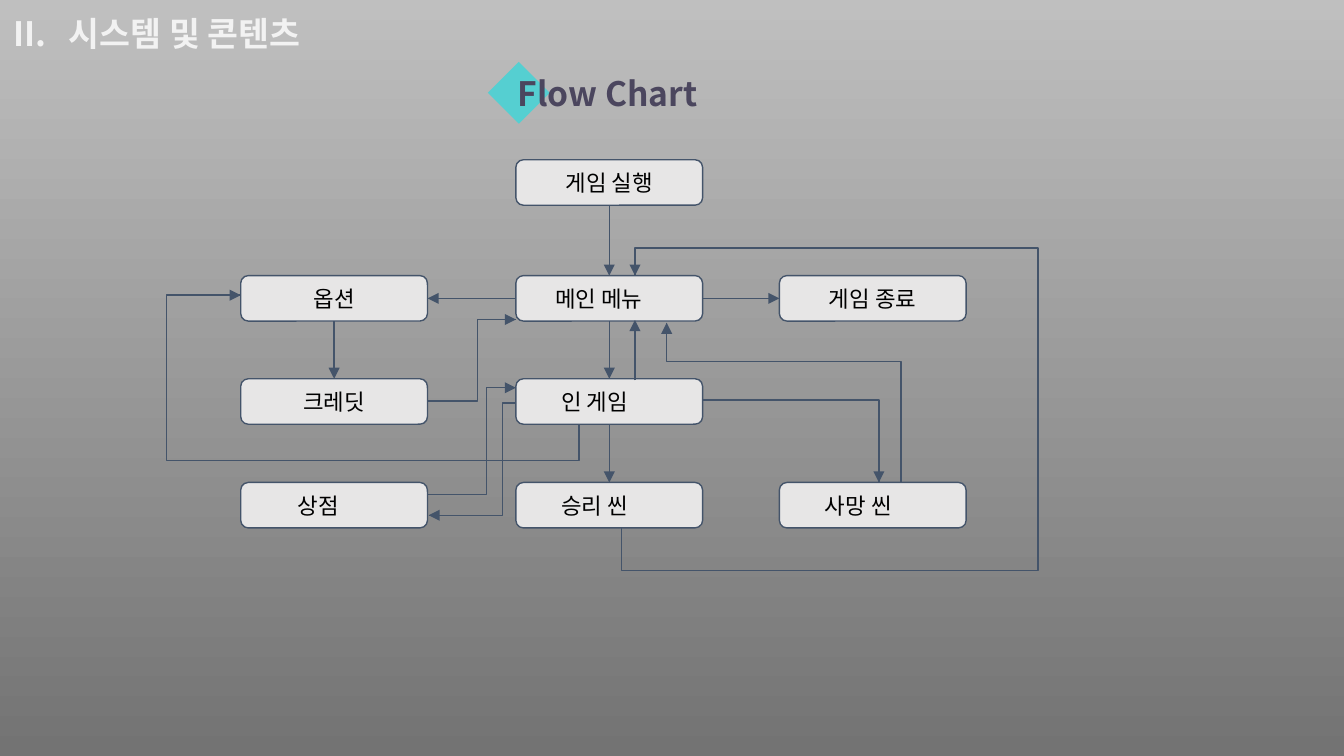
import pptx
import pptx.dml.color
import pptx.enum.dml
import pptx.enum.shapes
import pptx.enum.text
import pptx.oxml
import pptx.oxml.ns
import pptx.util
from lxml import etree

Cm = pptx.util.Cm
Pt = pptx.util.Pt
Shapes = pptx.enum.shapes.MSO_SHAPE
Align = pptx.enum.text.PP_ALIGN
qn = pptx.oxml.ns.qn

FONT = "Noto Sans CJK KR"
LINE = "44546A"
TOP, LEFT, BOTTOM, RIGHT = range(4)

# Box grid, in centimetres
COLUMNS = [4.55, 9.75, 14.73]
ROWS = [3.02, 5.21, 7.16, 9.12]
BOX_WIDTH, BOX_HEIGHT = 3.53, 0.86

# Text, column, row, left indent (None means centred)
BOXES = [
    ("게임 실행", 1, 0, None),
    ("옵션", 0, 1, None),
    ("메인 메뉴", 1, 1, 0.45),
    ("게임 종료", 2, 1, None),
    ("크레딧", 0, 2, None),
    ("인 게임", 1, 2, 0.57),
    ("상점", 0, 3, 0.79),
    ("승리 씬", 1, 3, 0.57),
    ("사망 씬", 2, 3, 0.57),
]

# Straight arrows between the middles of box sides
LINKS = [
    ("게임 실행", BOTTOM, "메인 메뉴", TOP),
    ("메인 메뉴", BOTTOM, "인 게임", TOP),
    ("인 게임", BOTTOM, "승리 씬", TOP),
    ("메인 메뉴", LEFT, "옵션", RIGHT),
    ("메인 메뉴", RIGHT, "게임 종료", LEFT),
    ("옵션", BOTTOM, "크레딧", TOP),
]

# Corner points of each bent route, then the length of its end arrow
ROUTES = [
    ([(8.08, 7.58), (9.02, 7.58), (9.02, 6.04), (9.75, 6.04)], 0.7),
    ([(13.28, 7.56), (16.61, 7.56), (16.61, 9.12)], 0.9),
    ([(10.94, 8.04), (10.94, 8.71), (3.15, 8.71), (3.15, 5.58), (4.55, 5.58)], 0.66),
    ([(8.08, 9.35), (9.2, 9.35), (9.2, 7.33), (9.75, 7.33)], 0.46),
    ([(9.74, 7.62), (9.5, 7.62), (9.5, 9.74), (8.1, 9.74)], 0.66),
    ([(17.03, 9.12), (17.03, 6.84), (12.6, 6.84), (12.6, 6.1)], 0.3),
    ([(11.75, 9.98), (11.75, 10.79), (19.62, 10.79), (19.62, 4.69),
      (12, 4.69), (12, 5.21)], 0.4),
]


def color(value):
    return pptx.dml.color.RGBColor.from_string(value)


def write_text(shape, text, size=12, fill="000000", bold=False, align=Align.LEFT,
               indent=0, tab=None, insets=(0.25, 0.25)):
    frame = shape.text_frame
    frame.word_wrap = True
    frame.margin_left = frame.margin_right = Cm(insets[0])
    frame.margin_top = frame.margin_bottom = Cm(insets[1])
    paragraph = frame.paragraphs[0]
    paragraph.alignment = align
    properties = paragraph._p.get_or_add_pPr()
    if indent:
        properties.set("marL", str(Cm(indent)))
    if tab:
        tabs = etree.SubElement(properties, qn("a:tabLst"))
        etree.SubElement(tabs, qn("a:tab"), pos=str(Cm(tab)), algn="l")
    run = paragraph.add_run()
    run.text = text
    run.font.size = Pt(size)
    run.font.bold = bold
    run.font.name = FONT
    run.font.color.rgb = color(fill)
    etree.SubElement(run._r.get_or_add_rPr(), qn("a:ea"), typeface=FONT)


def add_label(shapes, text, left, top, width, height, **text_format):
    label = shapes.add_textbox(Cm(left), Cm(top), Cm(width), Cm(height))
    write_text(label, text, **text_format)
    label.text_frame.auto_size = pptx.enum.text.MSO_AUTO_SIZE.SHAPE_TO_FIT_TEXT


def style_line(line):
    line.color.rgb = color(LINE)
    line.width = Pt(0.75)


def add_box(slide, text, column, row, indent):
    box = slide.shapes.add_shape(
        Shapes.FLOWCHART_ALTERNATE_PROCESS, Cm(COLUMNS[column]), Cm(ROWS[row]),
        Cm(BOX_WIDTH), Cm(BOX_HEIGHT))
    box.shadow.inherit = False
    box.fill.solid()
    box.fill.fore_color.rgb = color("E7E6E6")
    style_line(box.line)
    box.text_frame.vertical_anchor = pptx.enum.text.MSO_ANCHOR.MIDDLE
    align = Align.CENTER if indent is None else Align.LEFT
    write_text(box, text, align=align, indent=indent or 0)
    return box


def add_arrow(slide, start=(0, 0), end=(0, 0)):
    arrow = slide.shapes.add_connector(
        pptx.enum.shapes.MSO_CONNECTOR.STRAIGHT,
        *(Cm(value) for value in (*start, *end)))
    style_line(arrow.line)
    etree.SubElement(arrow.line._get_or_add_ln(), qn("a:tailEnd"), type="triangle")
    etree.SubElement(arrow._element.spPr, qn("a:effectLst"))
    return arrow


def add_link(slide, source, source_side, target, target_side):
    arrow = add_arrow(slide)
    arrow.begin_connect(source, source_side)
    arrow.end_connect(target, target_side)


def add_route(slide, points, arrow_length):
    corners = [(Cm(x), Cm(y)) for x, y in points]
    builder = slide.shapes.build_freeform(*corners[0])
    builder.add_line_segments(corners[1:], close=False)
    route = builder.convert_to_shape()
    route.shadow.inherit = False
    route.fill.background()
    style_line(route.line)

    # The arrow lies along the last segment
    (x1, y1), (x2, y2) = points[-2:]
    share = arrow_length / (abs(x2 - x1) + abs(y2 - y1))
    add_arrow(slide, (x2 - (x2 - x1) * share, y2 - (y2 - y1) * share), (x2, y2))


def add_heading(slide):
    group = slide.shapes.add_group_shape()
    diamond = group.shapes.add_shape(
        Shapes.DIAMOND, Cm(9.22), Cm(1.17), Cm(1.17), Cm(1.17))
    diamond.shadow.inherit = False
    diamond.fill.solid()
    diamond.fill.fore_color.rgb = color("55CFD1")
    diamond.line.fill.background()
    add_label(group.shapes, "Flow Chart", 9.6, 1.27, 4.14, 0.97,
              size=18, fill="4B465E", bold=True, insets=(0.18, 0.1))


def set_background(slide):
    fill = slide.background.fill
    fill.gradient()
    fill.gradient_angle = 270
    for stop, position, value in zip(fill.gradient_stops, (0, 1), ("BFBFBF", "737373")):
        stop.position = position
        stop.color.rgb = color(value)


def main():
    presentation = pptx.Presentation()
    presentation.slide_width = Cm(25.4)
    presentation.slide_height = Cm(14.29)
    slide = presentation.slides.add_slide(presentation.slide_layouts[6])
    set_background(slide)

    # Titles
    add_heading(slide)
    add_label(slide.shapes, "II.\t시스템 및 콘텐츠", 0, 0, 8.33, 1.27,
              size=18, fill="F2F2F2", bold=True, tab=1.05)

    # Boxes
    boxes = {text: add_box(slide, text, *place) for text, *place in BOXES}

    # Arrows
    for source, source_side, target, target_side in LINKS:
        add_link(slide, boxes[source], source_side, boxes[target], target_side)
    add_arrow(slide, (12, 7.19), (12, 6.05))
    for points, arrow_length in ROUTES:
        add_route(slide, points, arrow_length)

    presentation.save("out.pptx")


if __name__ == "__main__":
    main()
